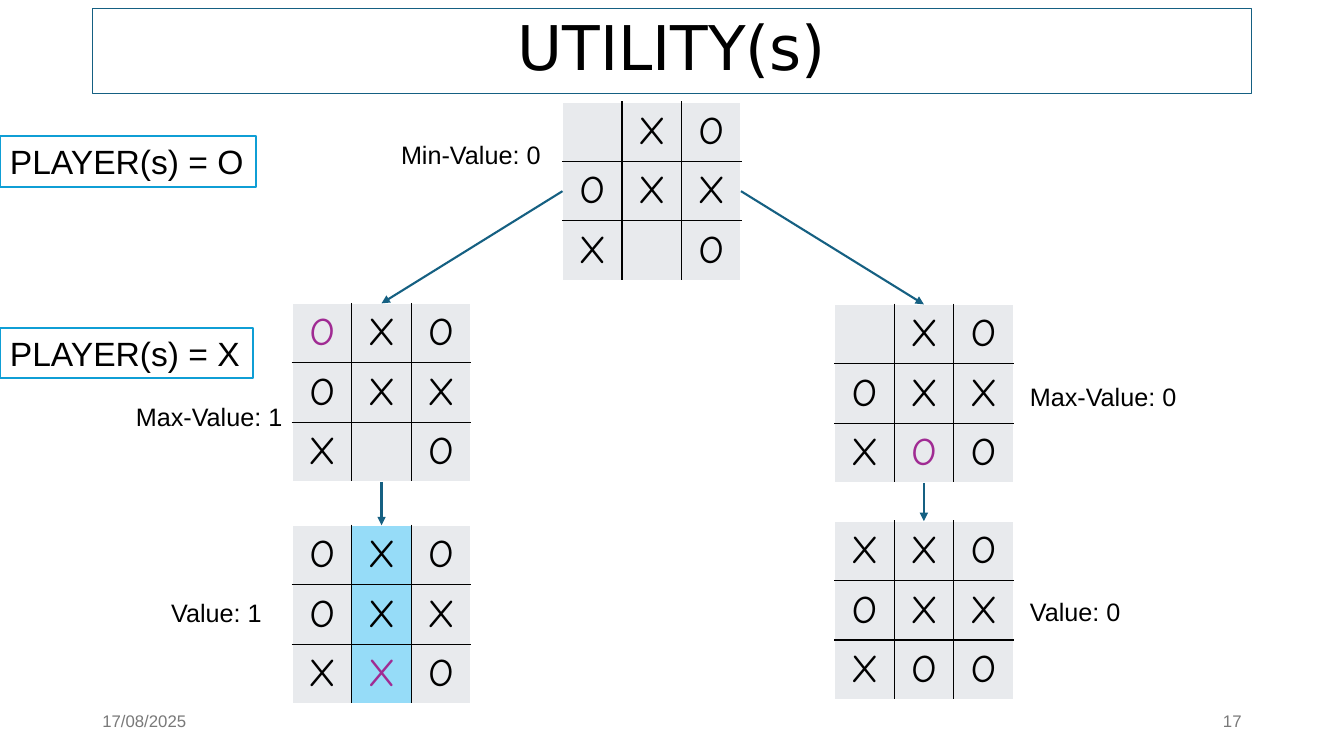
from lxml.etree import SubElement
from pptx import Presentation
from pptx.dml.color import RGBColor
from pptx.enum.shapes import MSO_CONNECTOR, MSO_SHAPE
from pptx.enum.text import MSO_ANCHOR, PP_ALIGN
from pptx.oxml.ns import qn
from pptx.util import Pt

CELL = 42.5
SIDE = 3 * CELL
BLACK, WHITE, GRAY, BLUE = "000000", "FFFFFF", "E8EAED", "156082"
MOVE, WIN, CYAN = "A02B93", "96DCF8", "0F9ED5"
LEFT, MID, RIGHT = PP_ALIGN.LEFT, PP_ALIGN.CENTER, PP_ALIGN.RIGHT
FONTS = {
    "title": {"name": "DejaVu Sans", "size": Pt(44)},
    "mark": {"name": "Comic Neue", "size": Pt(28)},
    "player": {"name": "Arial", "size": Pt(24)},
    "value": {"name": "Arial", "size": Pt(18)},
    "foot": {"name": "Arial", "size": Pt(12)},
}


def color(code):
    return RGBColor.from_string(code)


def write(frame, text, style, align=LEFT, code=BLACK):
    """Put one styled paragraph into a text frame and return it."""
    para = frame.paragraphs[0]
    para.alignment = align
    run = para.add_run()
    run.text = text
    for key, value in FONTS[style].items():
        setattr(run.font, key, value)
    run.font.color.rgb = color(code)
    return para


deck = Presentation()
deck.slide_width, deck.slide_height = Pt(960), Pt(540)
slide = deck.slides.add_slide(deck.slide_layouts[6])
shapes = slide.shapes

# Framed boxes: title and players
frames = [
    ("UTILITY(s)", "title", MID, (66, 6.2, 828, 60.5), BLUE, 0.75),
    ("PLAYER(s) = O", "player", LEFT, (0, 97.2, 183, 36.3), CYAN, 1.5),
    ("PLAYER(s) = X", "player", LEFT, (0, 234, 180.6, 36.3), CYAN, 1.5),
]
for text, style, align, place, edge, width in frames:
    box = shapes.add_shape(MSO_SHAPE.RECTANGLE, *map(Pt, place))
    box.shadow.inherit = False
    box.fill.solid()
    box.fill.fore_color.rgb = color(WHITE)
    box.line.color.rgb = color(edge)
    box.line.width = Pt(width)
    box.text_frame.word_wrap = style == "title"
    box.text_frame.vertical_anchor = MSO_ANCHOR.MIDDLE
    para = write(box.text_frame, text, style, align)
    if style == "title":
        para.line_spacing = 0.9

# Boards: a lower-case letter is the move just made; the last item is the winning column
boards = {
    "root": (401.8, 72.8, (" XO", "OXX", "X O"), None),
    "left": (208.8, 216.7, ("oXO", "OXX", "X O"), None),
    "right": (596.2, 217.4, (" XO", "OXX", "XoO"), None),
    "win": (208.8, 375.2, ("OXO", "OXX", "XxO"), 1),
    "draw": (596.2, 372.2, ("XXO", "OXX", "XOO"), None),
}
grids = {}
for name, (left, top, rows, best) in boards.items():
    grid = shapes.add_table(3, 3, Pt(left), Pt(top), Pt(SIDE), Pt(SIDE))
    grids[name] = grid
    table = grid.table
    table.first_row = table.horz_banding = False
    for i, row in enumerate(rows):
        table.rows[i].height = table.columns[i].width = Pt(CELL)
        for j, mark in enumerate(row):
            cell = table.cell(i, j)
            cell.vertical_anchor = MSO_ANCHOR.MIDDLE
            props = cell._tc.get_or_add_tcPr()
            outer = {"lnL": j == 0, "lnR": j == 2, "lnT": i == 0, "lnB": i == 2}
            for tag, rim in outer.items():
                line = SubElement(props, qn(f"a:{tag}"), w=str(Pt(1)))
                paint = SubElement(line, qn("a:solidFill"))
                SubElement(paint, qn("a:srgbClr"), val=WHITE if rim else BLACK)
            cell.fill.solid()
            cell.fill.fore_color.rgb = color(WIN if j == best else GRAY)
            if mark != " ":
                code = MOVE if mark.islower() else BLACK
                write(cell.text_frame, mark.upper(), "mark", MID, code)

# Arrows glued to board sides: 0 top, 1 left, 2 bottom, 3 right
arrows = [("root", 1, "left"), ("root", 3, "right"),
          ("left", 2, "win"), ("right", 2, "draw")]
for start, side, end in arrows:
    arrow = shapes.add_connector(MSO_CONNECTOR.STRAIGHT, 0, 0, 0, 0)
    arrow.begin_connect(grids[start], side)
    arrow.end_connect(grids[end], 0)
    arrow.line.color.rgb = color(BLUE)
    arrow.line.width = Pt(1.5)
    SubElement(arrow.line._get_or_add_ln(), qn("a:tailEnd"), type="triangle")
    SubElement(arrow._element.spPr, qn("a:effectLst"))

# Value labels and footer
labels = [
    ("Min-Value: 0", "value", LEFT, (279.4, 96, 115.2, 29), BLACK),
    ("Max-Value: 1", "value", LEFT, (90, 283, 120.2, 29), BLACK),
    ("Max-Value: 0", "value", LEFT, (728.6, 268.6, 120.2, 29), BLACK),
    ("Value: 1", "value", LEFT, (115.2, 422.6, 80, 29), BLACK),
    ("Value: 0", "value", LEFT, (728.6, 421.9, 80, 29), BLACK),
    ("17/08/2025", "foot", LEFT, (66, 500.5, 216, 28.75), "797979"),
    ("17", "foot", RIGHT, (678, 500.5, 216, 28.75), "797979"),
]
for text, style, align, place, code in labels:
    label = shapes.add_textbox(*map(Pt, place)).text_frame
    label.word_wrap = True
    label.vertical_anchor = MSO_ANCHOR.MIDDLE
    write(label, text, style, align, code)

deck.save("out.pptx")
